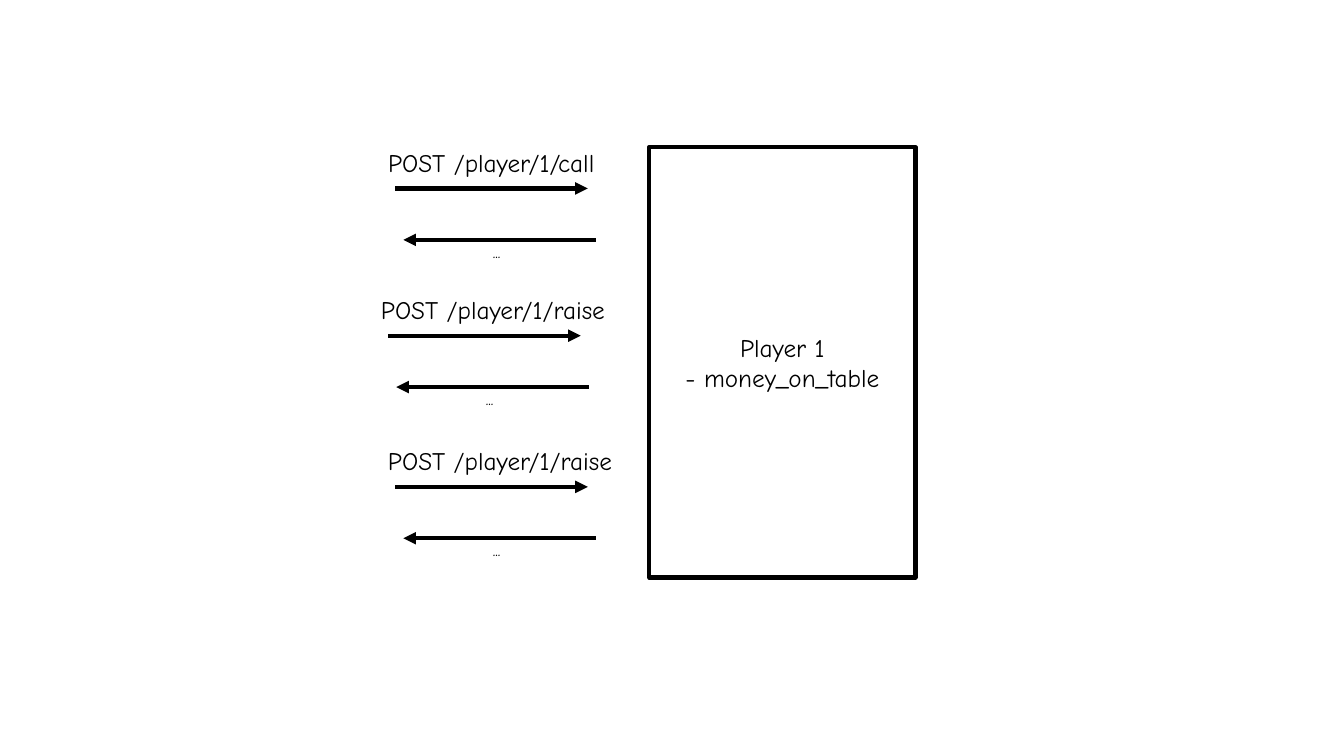
from dataclasses import dataclass

from lxml import etree
from pptx import Presentation
from pptx.dml.color import RGBColor
from pptx.enum import shapes, text
from pptx.oxml import ns
from pptx.util import Inches, Pt


@dataclass(frozen=True)
class Theme:
    font: str = "Comic Neue"
    ink: RGBColor = RGBColor(0, 0, 0)
    paper: RGBColor = RGBColor(255, 255, 255)
    body: int = 18
    small: int = 12
    stroke: int = 3


THEME = Theme()
ARROW_WIDTH = 1.91
REPLY_SHIFT = 0.08

# Each request: label, left, top, label width
REQUESTS = [
    ("POST /player/1/call", 3.75, 1.41, 2.58),
    ("POST /player/1/raise", 3.68, 2.87, 2.77),
    ("POST /player/1/raise", 3.75, 4.37, 2.77),
]


def style_text(tf, size, align):
    for p in tf.paragraphs:
        p.alignment = align
        for r in p.runs:
            r.font.name = THEME.font
            r.font.size = Pt(size)
            r.font.color.rgb = THEME.ink


def style_line(line):
    line.color.rgb = THEME.ink
    line.width = Pt(THEME.stroke)


def add_label(parent, label, left, top, width, height, size):
    sp = parent.add_textbox(Inches(left), Inches(top), Inches(width), Inches(height))
    tf = sp.text_frame
    tf.text = label
    tf.word_wrap = False
    tf.auto_size = text.MSO_AUTO_SIZE.SHAPE_TO_FIT_TEXT
    style_text(tf, size, text.PP_ALIGN.LEFT)


def add_arrow(parent, left, y, end):
    """Horizontal arrow; end is 'tailEnd' (points right) or 'headEnd' (points left)."""
    cxn = parent.add_connector(shapes.MSO_CONNECTOR.STRAIGHT, Inches(left), Inches(y),
                               Inches(left + ARROW_WIDTH), Inches(y))
    style_line(cxn.line)
    etree.SubElement(cxn.line._get_or_add_ln(), ns.qn(f"a:{end}"), type="triangle")
    etree.SubElement(cxn._element.spPr, ns.qn("a:effectLst"))


def add_exchange(parent, label, left, top, width):
    """Request label above a grouped pair of arrows and the reply text."""
    add_label(parent, label, left, top, width, 0.4, THEME.body)
    pair = parent.add_group_shape().shapes
    start = left + 0.17
    add_arrow(pair, start, top + 0.46, "tailEnd")
    add_arrow(pair, start + REPLY_SHIFT, top + 0.97, "headEnd")
    add_label(pair, "...", left + 1.04, top + 0.94, 0.43, 0.3, THEME.small)


def add_box(parent, content, left, top, width, height):
    sp = parent.add_shape(shapes.MSO_SHAPE.RECTANGLE, Inches(left), Inches(top),
                          Inches(width), Inches(height))
    sp.shadow.inherit = False
    sp.fill.solid()
    sp.fill.fore_color.rgb = THEME.paper
    style_line(sp.line)
    tf = sp.text_frame
    tf.text = content
    tf.vertical_anchor = text.MSO_ANCHOR.MIDDLE
    style_text(tf, THEME.body, text.PP_ALIGN.CENTER)


def main():
    prs = Presentation()
    prs.slide_width, prs.slide_height = Inches(13.33), Inches(7.5)
    s = prs.slides.add_slide(prs.slide_layouts[6])

    # Player resource
    add_box(s.shapes, "Player 1\n- money_on_table", 6.44, 1.46, 2.64, 4.27)

    # Requests and replies
    for request in REQUESTS:
        add_exchange(s.shapes, *request)

    prs.save("out.pptx")


main()
